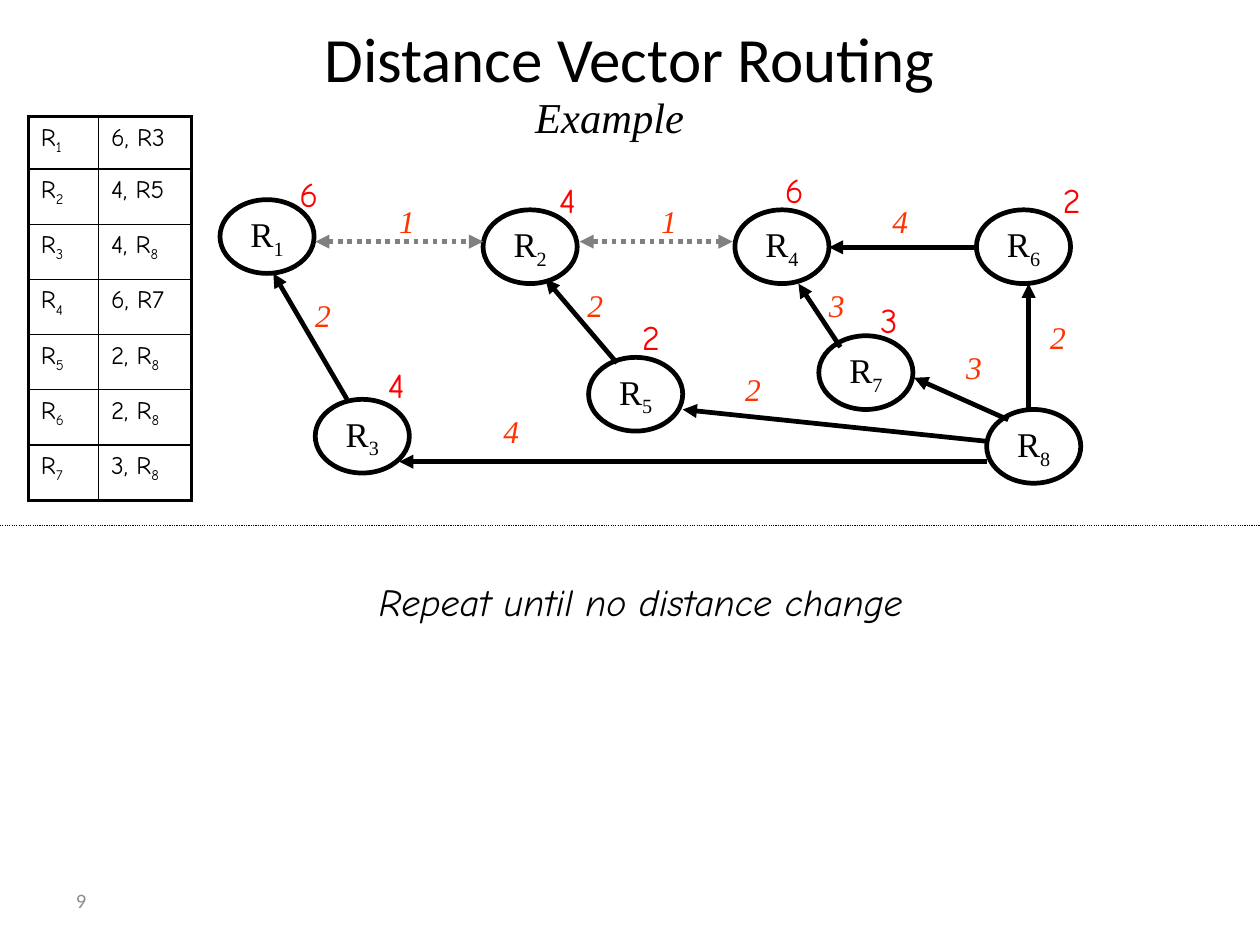
from lxml import etree
from pptx import Presentation
from pptx.dml.color import RGBColor
from pptx.enum.dml import MSO_LINE
from pptx.enum.shapes import MSO_CONNECTOR, MSO_SHAPE
from pptx.enum.text import MSO_ANCHOR, MSO_AUTO_SIZE, PP_ALIGN
from pptx.oxml.ns import qn
from pptx.util import Inches, Pt

BLACK = RGBColor(0x00, 0x00, 0x00)
WHITE = RGBColor(0xFF, 0xFF, 0xFF)
GREY = RGBColor(0x80, 0x80, 0x80)
PALE_GREY = RGBColor(0x8C, 0x8C, 0x8C)
RED = RGBColor(0xFF, 0x00, 0x00)
ORANGE = RGBColor(0xFF, 0x33, 0x00)

STRAIGHT = MSO_CONNECTOR.STRAIGHT
OVAL = MSO_SHAPE.OVAL
DOTTED = MSO_LINE.ROUND_DOT
LEFT, CENTER = PP_ALIGN.LEFT, PP_ALIGN.CENTER
TOP, MIDDLE = MSO_ANCHOR.TOP, MSO_ANCHOR.MIDDLE
GROW, FIXED = MSO_AUTO_SIZE.SHAPE_TO_FIT_TEXT, MSO_AUTO_SIZE.NONE

SERIF, HAND, SANS = "Times New Roman", "Comic Neue", "Calibri"
MARGINS = {"margin_left": Inches(0.11), "margin_right": Inches(0.11),
           "margin_top": Inches(0.06), "margin_bottom": Inches(0.06)}

TITLE = {"name": SANS, "size": Pt(40), "color": BLACK}
SUBTITLE = {"name": SERIF, "size": Pt(27), "color": BLACK, "italic": True}
NOTE = {"name": HAND, "size": Pt(24), "color": BLACK, "italic": True}
PAGE = {"name": SANS, "size": Pt(13), "color": PALE_GREY}
ROUTER = {"name": SERIF, "size": Pt(22), "color": BLACK}
COST = {"name": SERIF, "size": Pt(20), "color": ORANGE, "italic": True}
DISTANCE = {"name": HAND, "size": Pt(22), "color": RED}
CELL = {"name": HAND, "size": Pt(16), "color": BLACK}

ROUTER_W, ROUTER_H = 0.83, 0.65
ROUTERS = {"R_5": (5.19, 3.15), "R_3": (2.78, 3.52), "R_7": (7.22, 2.96),
           "R_8": (8.7, 3.61), "R_6": (8.61, 1.85), "R_4": (6.48, 1.85),
           "R_2": (4.26, 1.85), "R_1": (1.94, 1.76)}
UNUSED_LINKS = [(2.78, 2.13, 4.26, 2.13), (5.11, 2.13, 6.46, 2.13)]
ROUTES = [(3.06, 3.52, 2.41, 2.41), (7.41, 3.06, 7.04, 2.5),
          (8.7, 4.07, 3.52, 4.07), (8.7, 3.89, 6.02, 3.61),
          (8.89, 3.7, 8.06, 3.33), (9.07, 3.61, 9.07, 2.5),
          (8.61, 2.18, 7.31, 2.18), (5.44, 3.2, 4.81, 2.46)]
COSTS = [("1", 3.41, 1.72), ("1", 5.72, 1.72), ("4", 7.76, 1.72),
         ("2", 9.15, 2.74), ("4", 4.33, 3.57), ("2", 2.67, 2.55),
         ("2", 5.07, 2.46), ("3", 7.2, 2.46), ("2", 6.46, 3.2),
         ("3", 8.41, 3.01)]
DISTANCES = [("4", 3.31, 3.15), ("2", 5.55, 2.72), ("3", 7.65, 2.57),
             ("2", 9.26, 1.52), ("6", 2.53, 1.46), ("4", 4.82, 1.52),
             ("6", 6.81, 1.43)]
ROUTING_TABLE = [("R_1", "6, R3"), ("R_2", "4, R5"), ("R_3", "4, R_8"),
                 ("R_4", "6, R7"), ("R_5", "2, R_8"), ("R_6", "2, R_8"),
                 ("R_7", "3, R_8")]


def apply(obj, values):
    for name, value in values.items():
        setattr(obj, name, value)


class Diagram:
    def __init__(self, s):
        self.s = s

    def fill_text(self, tf, text, style, align=LEFT):
        """Fill a text frame; the part after "_" is a subscript."""
        p = tf.paragraphs[0]
        p.alignment = align
        for i, part in enumerate(text.split("_")):
            r = p.add_run()
            r.text = part
            apply(r.font, {k: v for k, v in style.items() if k != "color"})
            r.font.color.rgb = style["color"]
            if i:
                r._r.get_or_add_rPr().set("baseline", "-25000")

    def text(self, text, box, style, align=LEFT, anchor=TOP, wrap=True, fit=GROW):
        tf = self.s.shapes.add_textbox(*map(Inches, box)).text_frame
        apply(tf, {**MARGINS, "word_wrap": wrap, "auto_size": fit,
                   "vertical_anchor": anchor})
        self.fill_text(tf, text, style, align)

    def router(self, name, x, y):
        sp = self.s.shapes.add_shape(
            OVAL, *map(Inches, (x, y, ROUTER_W, ROUTER_H)))
        sp.shadow.inherit = False
        sp.fill.solid()
        sp.fill.fore_color.rgb = WHITE
        sp.line.color.rgb = BLACK
        sp.line.width = Pt(3)
        apply(sp.text_frame, {**MARGINS, "word_wrap": False,
                              "vertical_anchor": MIDDLE})
        self.fill_text(sp.text_frame, name, ROUTER, CENTER)

    def line(self, ends, color=BLACK, width=3, dash=None, arrows=()):
        c = self.s.shapes.add_connector(STRAIGHT, *map(Inches, ends))
        c.line.color.rgb = color
        c.line.width = Pt(width)
        if dash:
            c.line.dash_style = dash
        ln = c.line._get_or_add_ln()
        for end in arrows:
            etree.SubElement(ln, qn("a:" + end), type="triangle")
        etree.SubElement(c._element.spPr, qn("a:effectLst"))

    def borders(self, cell, widths):
        tcPr = cell._tc.get_or_add_tcPr()
        for side, width in widths.items():
            ln = etree.SubElement(tcPr, qn("a:ln" + side), w=str(Pt(width)))
            fill = etree.SubElement(ln, qn("a:solidFill"))
            etree.SubElement(fill, qn("a:srgbClr"), val=str(BLACK))

    def table(self, rows, box, col_widths, first_height):
        n, m = len(rows), len(col_widths)
        table = self.s.shapes.add_table(n, m, *map(Inches, box)).table
        apply(table, {"first_row": False, "horz_banding": False})
        for col, width in zip(table.columns, col_widths):
            col.width = Inches(width)
        for i, row in enumerate(table.rows):
            height = (box[3] - first_height) / (n - 1) if i else first_height
            row.height = Inches(height)
            for j, cell in enumerate(row.cells):
                outer = {"L": j == 0, "R": j == m - 1,
                         "T": i == 0, "B": i == n - 1}
                self.borders(cell, {side: 2.25 if edge else 1
                                    for side, edge in outer.items()})
                cell.fill.solid()
                cell.fill.fore_color.rgb = WHITE
                apply(cell, MARGINS)
                self.fill_text(cell.text_frame, rows[i][j], CELL)


def main():
    prs = Presentation()
    prs.slide_width, prs.slide_height = Inches(11.11), Inches(8.33)
    d = Diagram(prs.slides.add_slide(prs.slide_layouts[6]))

    d.text("9", (0.56, 7.72, 2.59, 0.44), PAGE, anchor=MIDDLE, fit=FIXED)
    for name, (x, y) in ROUTERS.items():
        d.router(name, x, y)
    for ends in UNUSED_LINKS:
        d.line(ends, GREY, dash=DOTTED, arrows=("headEnd", "tailEnd"))
    for ends in ROUTES:
        d.line(ends, arrows=("tailEnd",))
    for cost, x, y in COSTS:
        d.text(cost, (x, y, 0.36, 0.45), COST, wrap=False)
    d.table(ROUTING_TABLE, (0.25, 1.03, 1.44, 3.38), (0.62, 0.82), 0.46)
    d.line((0, 4.63, 11.11, 4.63), width=0.75, dash=DOTTED)
    for distance, x, y in DISTANCES:
        d.text(distance, (x, y, 0.55, 0.48), DISTANCE)
    d.text("Repeat until no distance change", (0.75, 5.04, 9.8, 0.52),
           NOTE, CENTER)
    d.text("Distance Vector Routing", (0.52, -0.19, 10.06, 1.39), TITLE,
           CENTER, MIDDLE, fit=FIXED)
    d.text("Example", (4.61, 0.74, 1.96, 0.57), SUBTITLE)
    prs.save("out.pptx")


if __name__ == "__main__":
    main()
